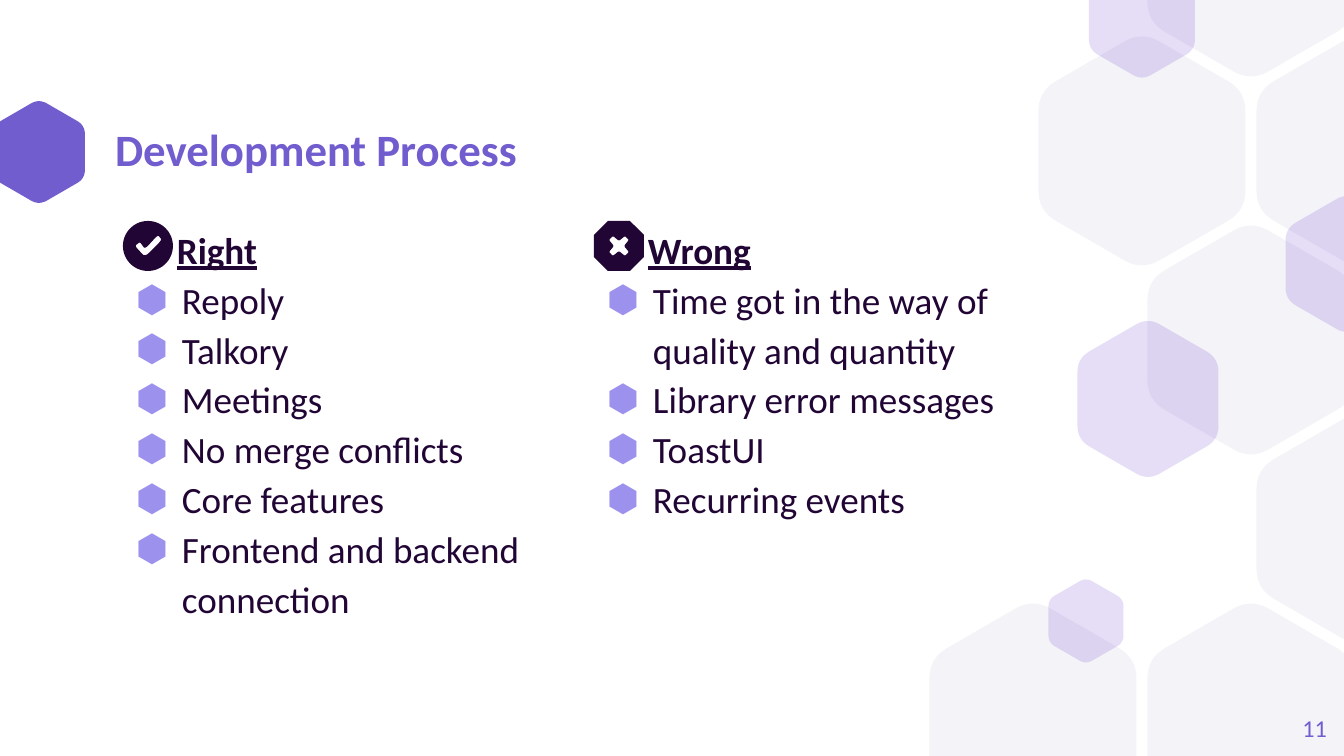
from math import cos, pi, sin, sqrt

from lxml.etree import SubElement
from pptx import Presentation
from pptx.dml.color import RGBColor
from pptx.enum.text import MSO_ANCHOR, MSO_AUTO_SIZE, PP_ALIGN
from pptx.oxml.ns import qn
from pptx.util import Pt

PX = 914400 / 100.8
WIDTH, HEIGHT = 1344, 756
FONT = "Calibri"
PURPLE = RGBColor(0x72, 0x5D, 0xCF)
LILAC = RGBColor(0x9D, 0x91, 0xEE)
VIOLET = RGBColor(0x53, 0x22, 0xC9)
PALE = RGBColor(0xF4, 0xF3, 0xF8)
INK = RGBColor(0x21, 0x06, 0x35)

CELLS = [(0, 4), (2, 4), (3, 1), (2, 0), (2, 2), (1, 1), (3, 3)]
ACCENTS = [(1347, 264, 123), (1086, 621, 75), (1142, 19, 106), (1148, 399, 141)]

CIRCLE = [(25 * cos(pi * i / 36), 25 * sin(pi * i / 36)) for i in range(72)]
OCTAGON = [(-11, -25), (11, -25), (25, -11), (25, 11),
           (11, 25), (-11, 25), (-25, 11), (-25, -11)]
CHECK = [(10, -11), (14, -6), (-3, 11), (-13, 0), (-8, -4), (-3, 3)]
CROSS = [(-6, -10), (0, -5), (6, -10), (10, -6), (5, 0), (10, 6),
         (6, 10), (0, 5), (-6, 10), (-10, 6), (-5, 0), (-10, -6)]

COLUMNS = [
    (115, "Right", CIRCLE, CHECK,
     ["Repoly", "Talkory", "Meetings", "No merge conflicts", "Core features",
      "Frontend and backend connection"]),
    (586, "Wrong", OCTAGON, CROSS,
     ["Time got in the way of quality and quantity", "Library error messages",
      "ToastUI", "Recurring events"]),
]


def px(n):
    return round(n * PX)


def between(a, b, t):
    return a[0] + (b[0] - a[0]) * t, a[1] + (b[1] - a[1]) * t


def rounded(corners, cut, steps=8):
    points = []
    for i, corner in enumerate(corners):
        start = between(corner, corners[i - 1], cut)
        end = between(corner, corners[(i + 1) % len(corners)], cut)
        for k in range(steps + 1):
            t = k / steps
            points.append(between(between(start, corner, t), between(corner, end, t), t))
    return points


def add_outline(s, contours, color, alpha=None):
    first, *others = [[(px(x), px(y)) for x, y in c] for c in contours]
    builder = s.shapes.build_freeform(*first[0], scale=1.0)
    builder.add_line_segments(first[1:], close=True)
    for contour in others:
        builder.move_to(*contour[0])
        builder.add_line_segments(contour[1:], close=True)
    sp = builder.convert_to_shape()
    sp.shadow.inherit = False
    sp.fill.solid()
    sp.fill.fore_color.rgb = color
    sp.line.fill.background()
    if alpha:
        clr = sp.element.spPr.find(qn("a:solidFill")).find(qn("a:srgbClr"))
        SubElement(clr, qn("a:alpha"), val=str(alpha * 1000))


def add_hexagon(s, cx, cy, width, color, alpha=None):
    radius = width / sqrt(3)
    corners = [(cx + radius * sin(pi * i / 3), cy - radius * cos(pi * i / 3))
               for i in range(6)]
    points = [(x, min(max(y, 0), HEIGHT)) for x, y in rounded(corners, 0.17)]
    add_outline(s, [points], color, alpha)


def add_icon(s, cx, cy, badge, mark):
    contours = [badge, rounded(mark, 0.25, 4)]
    add_outline(s, [[(cx + x, cy + y) for x, y in c] for c in contours], INK)


def set_frame(sp, left, top, width, height, anchor):
    sp.left, sp.top, sp.width, sp.height = px(left), px(top), px(width), px(height)
    tf = sp.text_frame
    tf.word_wrap = True
    tf.auto_size = MSO_AUTO_SIZE.NONE
    tf.vertical_anchor = anchor
    tf.margin_left = tf.margin_top = tf.margin_right = tf.margin_bottom = 0
    return tf


def add_frame(s, left, top, width, height, anchor=MSO_ANCHOR.TOP):
    return set_frame(s.shapes.add_textbox(0, 0, 0, 0), left, top, width, height, anchor)


def write(p, text, size, color, bold=False, underline=False,
          align=PP_ALIGN.LEFT, spacing=1.0):
    p.alignment = align
    p.line_spacing = spacing
    r = p.add_run()
    r.text = text
    f = r.font
    f.name, f.size, f.bold, f.underline = FONT, Pt(size), bold, underline
    f.color.rgb = color


def set_indent(p, margin, hanging=0, bullet=None):
    pPr = p._p.get_or_add_pPr()
    pPr.set("marL", str(px(margin)))
    pPr.set("indent", str(-px(hanging)))
    if bullet:
        clr = SubElement(pPr, qn("a:buClr"))
        SubElement(clr, qn("a:srgbClr"), val=str(LILAC))
        SubElement(pPr, qn("a:buFont"), typeface=FONT)
        SubElement(pPr, qn("a:buChar"), char=bullet)


def add_column(s, left, heading, badge, mark, items):
    tf = add_frame(s, left, 222, 412, 481)
    p = tf.paragraphs[0]
    write(p, heading, 26.5, INK, bold=True, underline=True, spacing=1.12)
    set_indent(p, 62)
    for item in items:
        p = tf.add_paragraph()
        write(p, item, 26.5, INK, spacing=1.12)
        set_indent(p, 67, 46, "⬢")
    add_icon(s, left + 33, 246, badge, mark)


def main():
    prs = Presentation()
    prs.slide_width, prs.slide_height = px(WIDTH), px(HEIGHT)
    s = prs.slides.add_slide(prs.slide_layouts[5])

    add_hexagon(s, 39, 152, 92, PURPLE)
    for col, row in CELLS:
        add_hexagon(s, 1033 + 109 * col, 189 * row - 38, 207, PALE)
    for cx, cy, width in ACCENTS:
        add_hexagon(s, cx, cy, width, VIOLET, 15)

    tf = set_frame(s.shapes.title, 115, 123, 883, 58, MSO_ANCHOR.MIDDLE)
    write(tf.paragraphs[0], "Development Process", 32, PURPLE, bold=True, spacing=0.9)
    for column in COLUMNS:
        add_column(s, *column)
    tf = add_frame(s, 1247, 699, 80, 57, MSO_ANCHOR.MIDDLE)
    write(tf.paragraphs[0], "11", 17.3, PURPLE, align=PP_ALIGN.RIGHT)

    prs.save("out.pptx")


if __name__ == "__main__":
    main()
